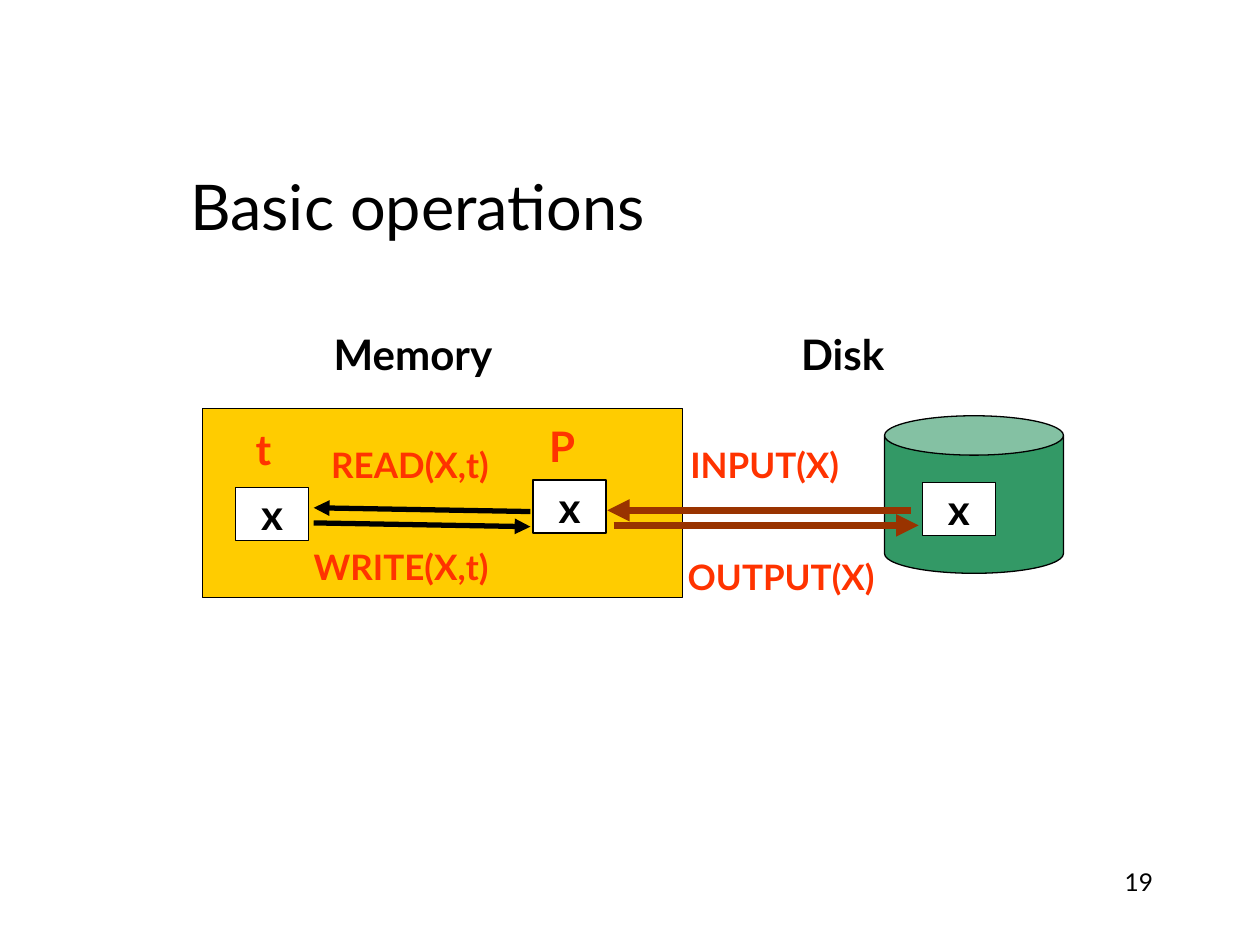
"""Build the slide on basic operations between memory and disk, on a grid of 100 columns by 75 rows."""
import pptx
import pptx.dml.color
import pptx.enum.shapes
import pptx.enum.text
import pptx.oxml
import pptx.oxml.ns
import pptx.util
from lxml import etree

RGB = pptx.dml.color.RGBColor
SHAPE = pptx.enum.shapes.MSO_SHAPE
ALIGN = pptx.enum.text.PP_ALIGN
ANCHOR = pptx.enum.text.MSO_ANCHOR

BLACK = RGB(0x00, 0x00, 0x00)
WHITE = RGB(0xFF, 0xFF, 0xFF)
GOLD = RGB(0xFF, 0xCC, 0x00)
GREEN = RGB(0x33, 0x99, 0x66)
RED = RGB(0xFF, 0x33, 0x00)
BROWN = RGB(0x99, 0x33, 0x00)
FONT = "Lato"
WIDTH, HEIGHT = pptx.util.Inches(10), pptx.util.Inches(7.5)
COLUMNS, ROWS = 100, 75


def col(n):
    return round(WIDTH * n / COLUMNS)


def row(n):
    return round(HEIGHT * n / ROWS)


def area(left, top, width, height):
    return col(left), row(top), col(width), row(height)


def write(sp, text, size=24, color=BLACK, bold=True, align=ALIGN.LEFT,
          anchor=ANCHOR.TOP, wrap=True):
    tf = sp.text_frame
    tf.word_wrap = wrap
    tf.vertical_anchor = anchor
    p = tf.paragraphs[0]
    p.alignment = align
    r = p.add_run()
    r.text = text
    r.font.name = FONT
    r.font.size = pptx.util.Pt(size)
    r.font.bold = bold
    r.font.color.rgb = color


def add_title(s, text, *box):
    sp = s.shapes.title
    sp.left, sp.top, sp.width, sp.height = area(*box)
    write(sp, text, size=36, bold=False, wrap=False)


def add_label(s, text, *box, **style):
    write(s.shapes.add_textbox(*area(*box)), text, **style)


def add_solid(s, kind, fill, *box):
    sp = s.shapes.add_shape(kind, *area(*box))
    sp.shadow.inherit = False
    sp.fill.solid()
    sp.fill.fore_color.rgb = fill
    sp.line.color.rgb = BLACK
    sp.line.width = pptx.util.Pt(0.75)
    return sp


def add_item(s, left, top):
    sp = add_solid(s, SHAPE.RECTANGLE, WHITE, left, top, 5.8, 4.2)
    write(sp, "x", align=ALIGN.CENTER, anchor=ANCHOR.MIDDLE, wrap=False)


def add_arrow(s, start, end, color, weight):
    cx = s.shapes.add_connector(pptx.enum.shapes.MSO_CONNECTOR.STRAIGHT,
                                col(start[0]), row(start[1]), col(end[0]), row(end[1]))
    cx.line.color.rgb = color
    cx.line.width = pptx.util.Pt(weight)
    qn = pptx.oxml.ns.qn
    etree.SubElement(cx.line._get_or_add_ln(), qn("a:tailEnd"), type="triangle")
    etree.SubElement(cx._element.spPr, qn("a:effectLst"))


def main():
    prs = pptx.Presentation()
    prs.slide_width, prs.slide_height = WIDTH, HEIGHT
    s = prs.slides.add_slide(prs.slide_layouts[5])
    add_title(s, "Basic operations", 14.1, 12.8, 40.8, 7)

    add_solid(s, SHAPE.RECTANGLE, GOLD, 16.1, 32.4, 38.1, 15)
    add_solid(s, SHAPE.CAN, GREEN, 70.2, 33, 14.2, 12.5)
    for text, left in (("Memory", 25.5), ("Disk", 62.6)):
        add_label(s, text, left, 25.6, 17.5, 5, anchor=ANCHOR.MIDDLE)

    for left, top in ((18.7, 38.7), (42.3, 38.1), (73.2, 38.3)):
        add_item(s, left, top)
    for text, left, top in (("t", 19.3, 33.1), ("P", 42.6, 32.9)):
        add_label(s, text, left, top, 5, 5, color=RED)

    for text, left, top, width in (("READ(X,t)", 25.3, 34.7, 17.1),
                                   ("WRITE(X,t)", 23.9, 42.8, 20.1),
                                   ("INPUT(X)", 53.8, 34.7, 15.8),
                                   ("OUTPUT(X)", 53.6, 43.6, 20)):
        add_label(s, text, left, top, width, 4.4, size=20, color=RED)

    add_arrow(s, (42.1, 40.6), (24.9, 40.3), BLACK, 3)
    add_arrow(s, (24.9, 41.5), (42.1, 41.8), BLACK, 3)
    add_arrow(s, (72.3, 40.5), (48.2, 40.5), BROWN, 4.25)
    add_arrow(s, (48.7, 41.7), (72.9, 41.7), BROWN, 4.25)

    add_label(s, "19", 71.7, 68.3, 20.8, 5, size=14, bold=False, align=ALIGN.RIGHT)
    prs.save("out.pptx")


if __name__ == "__main__":
    main()
